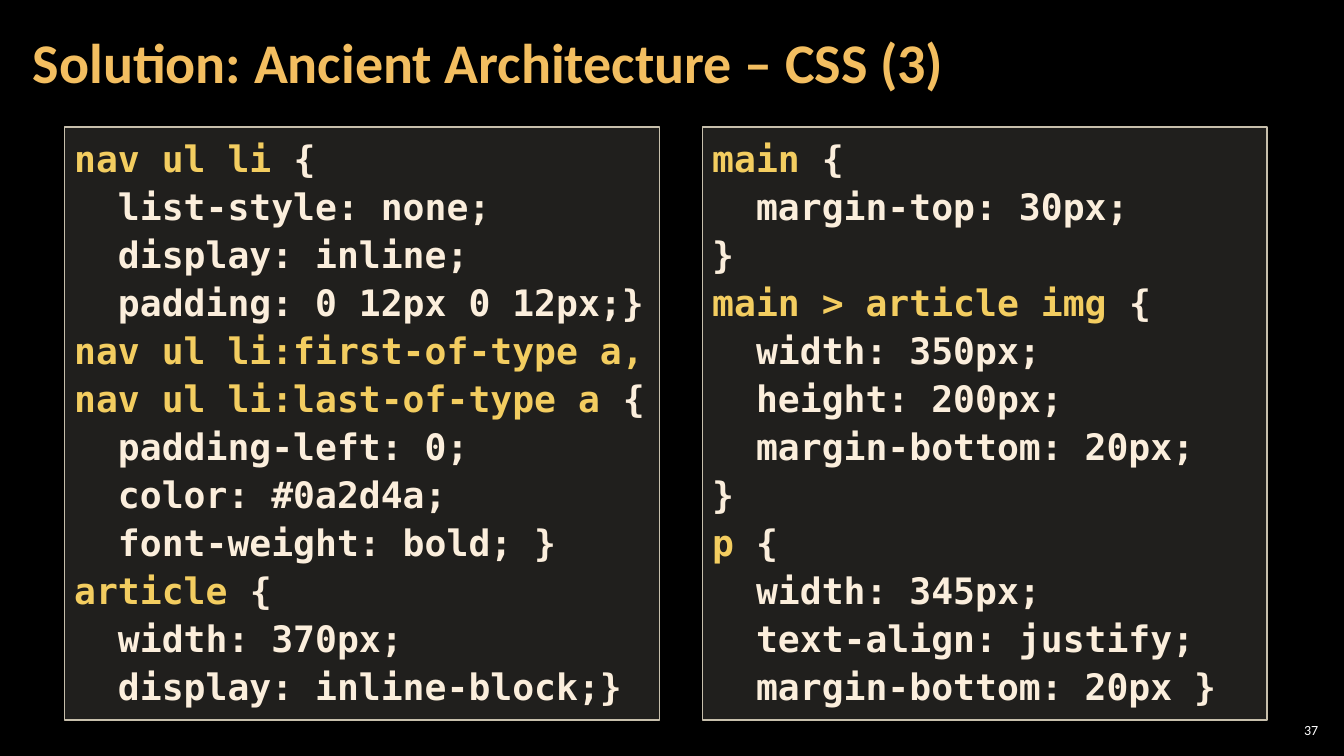
from lxml import etree
from pptx import Presentation
from pptx import util as u
from pptx.dml.color import RGBColor
from pptx.enum import shapes, text
from pptx.oxml.ns import qn

BODY_FONT = "Calibri"
CODE_FONT = "DejaVu Sans Mono"
SELECTOR_COLOUR = "F3CD60"
CODE_COLOUR = "FBEEDC"

NAVIGATION_CSS = """nav ul li {
  list-style: none;
  display: inline;
  padding: 0 12px 0 12px;}
nav ul li:first-of-type a,
nav ul li:last-of-type a {
  padding-left: 0;
  color: #0a2d4a;
  font-weight: bold; }
article {
  width: 370px;
  display: inline-block;}"""

MAIN_CSS = """main {
  margin-top: 30px;
}
main > article img {
  width: 350px;
  height: 200px;
  margin-bottom: 20px;
}
p {
  width: 345px;
  text-align: justify;
  margin-bottom: 20px }"""


def colour(value):
    return RGBColor.from_string(value)


def format_font(font, name, size, value, bold=False):
    font.name = name
    font.size = u.Pt(size)
    font.bold = bold
    font.color.rgb = colour(value)


def place(shape, box):
    shape.left, shape.top, shape.width, shape.height = (u.Cm(length) for length in box)


def set_margins(text_frame, horizontal, vertical):
    text_frame.margin_left = text_frame.margin_right = u.Cm(horizontal)
    text_frame.margin_top = text_frame.margin_bottom = u.Cm(vertical)


def add_title(slide, box, wording):
    title = slide.shapes.title
    place(title, box)
    frame = title.text_frame
    frame.text = wording
    frame.word_wrap = True
    frame.auto_size = text.MSO_AUTO_SIZE.NONE
    frame.vertical_anchor = text.MSO_ANCHOR.MIDDLE
    set_margins(frame, 0.3, 0.1)
    paragraph = frame.paragraphs[0]
    paragraph.alignment = text.PP_ALIGN.LEFT
    paragraph.line_spacing = 0.9
    format_font(paragraph.runs[0].font, BODY_FONT, 40, "F3BE60", True)


def add_slide_number(slide, box, number):
    shape = slide.shapes.add_textbox(*(u.Cm(length) for length in box))
    frame = shape.text_frame
    frame.text = number
    frame.word_wrap = True
    frame.vertical_anchor = text.MSO_ANCHOR.MIDDLE
    set_margins(frame, 0.1, 0.1)
    paragraph = frame.paragraphs[0]
    paragraph.alignment = text.PP_ALIGN.RIGHT
    format_font(paragraph.runs[0].font, BODY_FONT, 10, "FFFFFF")


def split_code_line(line):
    if line.startswith((" ", "}")):
        return [(line, CODE_COLOUR)]
    selector, brace, _ = line.partition("{")
    parts = [(selector, SELECTOR_COLOUR), (brace, CODE_COLOUR)]
    return [part for part in parts if part[0]]


def add_code_panel(slide, box, code):
    panel = slide.shapes.add_shape(
        shapes.MSO_SHAPE.RECTANGLE, *(u.Cm(length) for length in box))
    panel.shadow.inherit = False
    panel.fill.solid()
    panel.fill.fore_color.rgb = colour("D9D5C7")
    fill_colour = panel.fill._xPr.find(qn("a:solidFill"))[0]
    etree.SubElement(fill_colour, qn("a:alpha"), val="15000")
    panel.line.color.rgb = colour("C7BFAC")
    panel.line.width = u.Pt(1)

    frame = panel.text_frame
    frame.word_wrap = True
    frame.auto_size = text.MSO_AUTO_SIZE.SHAPE_TO_FIT_TEXT
    frame.vertical_anchor = text.MSO_ANCHOR.TOP
    for index, line in enumerate(code.splitlines()):
        paragraph = frame.paragraphs[0] if index == 0 else frame.add_paragraph()
        paragraph.alignment = text.PP_ALIGN.LEFT
        paragraph.line_spacing = 1.1
        for wording, value in split_code_line(line):
            run = paragraph.add_run()
            run.text = wording
            format_font(run.font, CODE_FONT, 26, value, True)


def add_code_slide(presentation, title, number, panels):
    slide = presentation.slides.add_slide(presentation.slide_layouts[5])
    slide.background.fill.solid()
    slide.background.fill.fore_color.rgb = colour("000000")
    add_slide_number(slide, (32.13, 18.14, 1.19, 0.53), number)
    add_title(slide, (0.53, 0.1, 26.6, 3.07), title)
    for left, width, code in panels:
        add_code_panel(slide, (left, 3.2, width, 14.94), code)


def main():
    presentation = Presentation()
    presentation.slide_width = u.Cm(33.87)
    presentation.slide_height = u.Cm(19.05)
    add_code_slide(
        presentation, "Solution: Ancient Architecture – CSS (3)", "37",
        [(1.62, 15, NAVIGATION_CSS), (17.7, 14.23, MAIN_CSS)])
    presentation.save("out.pptx")


if __name__ == "__main__":
    main()
